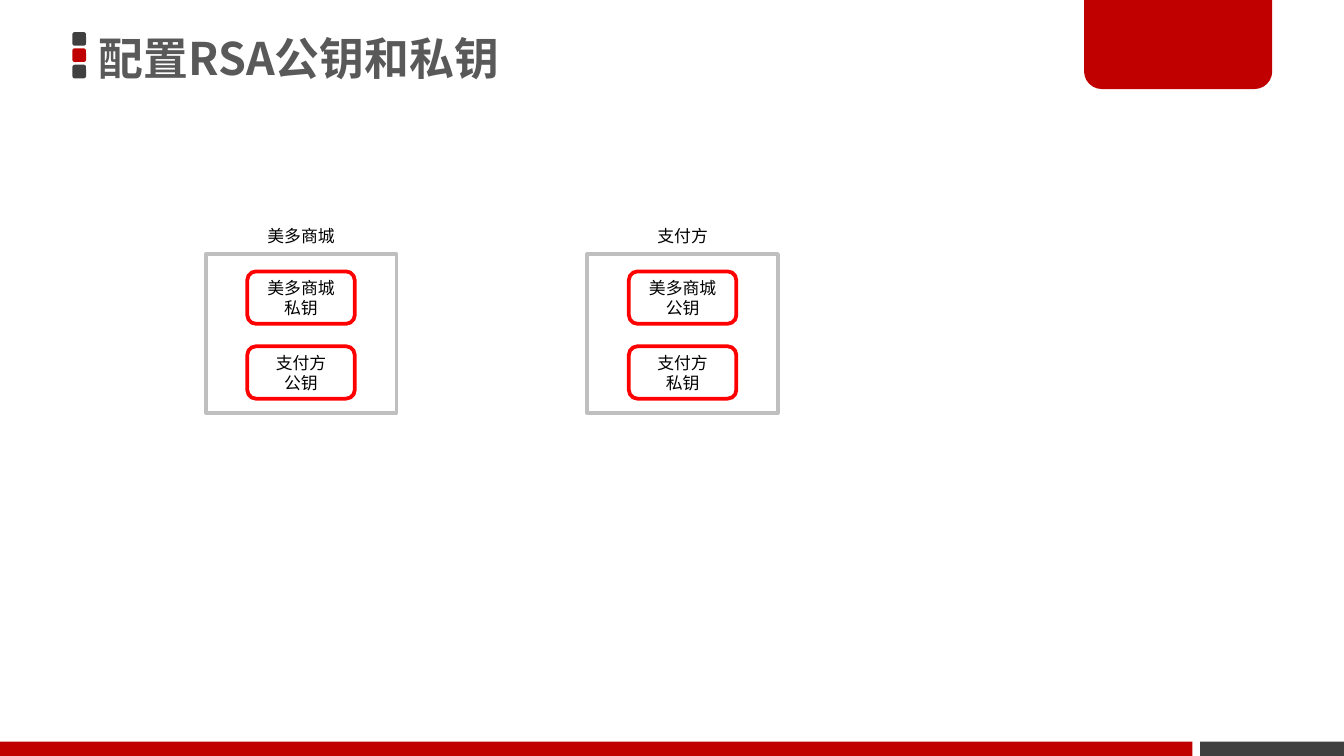
from dataclasses import dataclass

from pptx import Presentation
from pptx import util as u
from pptx.dml.color import RGBColor
from pptx.enum import shapes, text
from pptx.oxml.ns import qn

Pt = u.Pt
KIND = shapes.MSO_SHAPE
FONT = "Noto Sans CJK SC"
COLORS = {
    "red": "C00000", "dark": "404040", "title": "595959", "frame": "BFBFBF",
    "key_line": "FF0000", "white": "FFFFFF", "black": "000000",
}
TEXT_SIZE = 9


@dataclass
class Box:
    x: float
    y: float
    w: float
    h: float


@dataclass
class Panel:
    x: float
    owner: str
    keys: tuple[str, ...]


SHOP, PAYER = "美多商城", "支付方"
PANELS = (
    Panel(110.2, SHOP, (f"{SHOP}\n私钥", f"{PAYER}\n公钥")),
    Panel(314.6, PAYER, (f"{SHOP}\n公钥", f"{PAYER}\n私钥")),
)
PANEL_TOP, PANEL_W, PANEL_H = 136.1, 102.2, 85
KEY_W, KEY_H, KEY_OFFSET, KEY_PITCH = 57.6, 28.1, 9.3, 40.1


def color(name: str) -> RGBColor:
    return RGBColor.from_string(COLORS[name])


def add_shape(s, kind, box: Box, fill: str = "", line: str = ""):
    sp = s.shapes.add_shape(kind, Pt(box.x), Pt(box.y), Pt(box.w), Pt(box.h))
    sp.shadow.inherit = False
    if fill:
        sp.fill.solid()
        sp.fill.fore_color.rgb = color(fill)
    else:
        sp.fill.background()
    if line:
        sp.line.color.rgb = color(line)
        sp.line.width = Pt(2)
    else:
        sp.line.fill.background()
    return sp


def add_textbox(s, box: Box):
    return s.shapes.add_textbox(Pt(box.x), Pt(box.y), Pt(box.w), Pt(box.h))


def write(sp, words: str, size: float = TEXT_SIZE, ink: str = "black",
          bold: bool = False, align=text.PP_ALIGN.CENTER) -> None:
    """Fill a shape with text, one paragraph a line, in Latin and CJK font."""
    tf = sp.text_frame
    tf.text = words
    for p in tf.paragraphs:
        p.alignment = align
        for r in p.runs:
            r.font.size = Pt(size)
            r.font.bold = bold
            r.font.color.rgb = color(ink)
            r.font.name = FONT
            ea = r.font._element.makeelement(qn("a:ea"), {"typeface": FONT})
            r.font._element.find(qn("a:latin")).addnext(ea)


def draw_frame(s) -> None:
    """Draw the title marks, the corner tab and the footer bars."""
    for i, fill in enumerate(("dark", "red", "dark")):
        add_shape(s, KIND.ROUNDED_RECTANGLE,
                  Box(38.8, 17.2 + 8.75 * i, 7.3, 7.3), fill)
    add_shape(s, KIND.RECTANGLE, Box(643, 397.4, 77, 7.6), "dark")
    tab = add_shape(s, KIND.ROUND_2_SAME_RECTANGLE, Box(580.8, 0, 100.8, 47.7), "red")
    tab.adjustments[0] = 0
    tab.adjustments[1] = 0.2
    add_shape(s, KIND.RECTANGLE, Box(0, 397.4, 638.8, 7.6), "red")


def draw_title(s) -> None:
    sp = add_textbox(s, Box(47.5, 0.7, 361.4, 64.1))
    tf = sp.text_frame
    tf.word_wrap = True
    tf.vertical_anchor = text.MSO_ANCHOR.MIDDLE
    tf.margin_left = tf.margin_right = Pt(5.4)
    tf.margin_top = tf.margin_bottom = Pt(2.7)
    write(sp, "配置RSA公钥和私钥", 24, "title", True, text.PP_ALIGN.LEFT)
    tf.paragraphs[0].line_spacing = 0.9


def draw_panel(s, panel: Panel) -> None:
    add_shape(s, KIND.RECTANGLE, Box(panel.x, PANEL_TOP, PANEL_W, PANEL_H), line="frame")
    center = panel.x + PANEL_W / 2
    label_w = 14.4 + TEXT_SIZE * len(panel.owner)
    label = add_textbox(s, Box(center - label_w / 2, 117.4, label_w, 18))
    label.text_frame.word_wrap = False
    write(label, panel.owner)
    for i, words in enumerate(panel.keys):
        y = PANEL_TOP + KEY_OFFSET + KEY_PITCH * i
        key = add_shape(s, KIND.ROUNDED_RECTANGLE,
                        Box(center - KEY_W / 2, y, KEY_W, KEY_H), "white", "key_line")
        key.text_frame.vertical_anchor = text.MSO_ANCHOR.MIDDLE
        write(key, words)


def main() -> None:
    prs = Presentation()
    prs.slide_width, prs.slide_height = Pt(720), Pt(405)
    s = prs.slides.add_slide(prs.slide_layouts[6])
    draw_frame(s)
    for panel in PANELS:
        draw_panel(s, panel)
    draw_title(s)
    prs.save("out.pptx")


if __name__ == "__main__":
    main()
